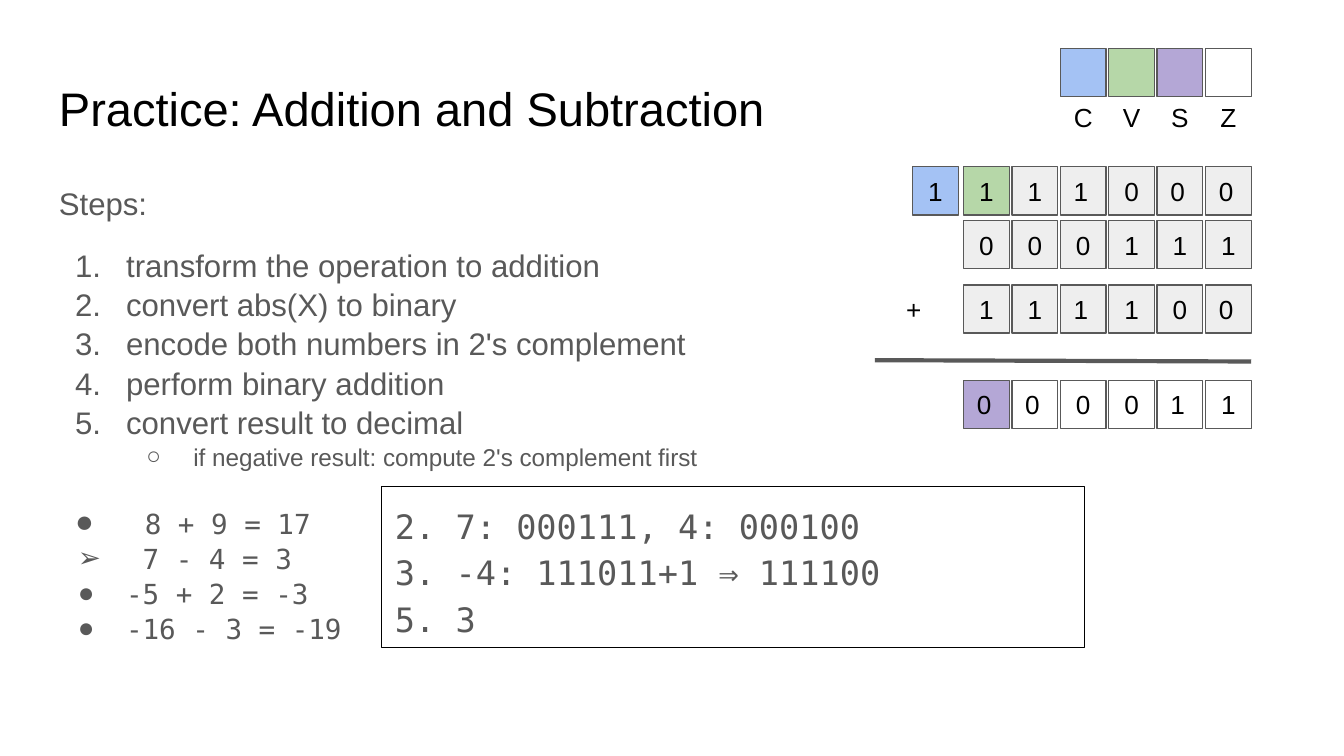
from lxml import etree
from pptx import Presentation
from pptx.dml.color import RGBColor
from pptx.enum.shapes import MSO_CONNECTOR, MSO_SHAPE
from pptx.enum.text import MSO_ANCHOR, PP_ALIGN
from pptx.oxml.ns import qn
from pptx.util import Inches, Pt

RECT, STRAIGHT = MSO_SHAPE.RECTANGLE, MSO_CONNECTOR.STRAIGHT
TOP, MIDDLE = MSO_ANCHOR.TOP, MSO_ANCHOR.MIDDLE
LEFT, CENTER = PP_ALIGN.LEFT, PP_ALIGN.CENTER

THEME = {
    "sans": "Arial", "mono": "DejaVu Sans Mono",
    "title": 25.2, "body": 16.7, "sub": 13, "example": 14.8,
    "cell": 14, "work": 18,
    "black": "000000", "gray": "595959", "white": "FFFFFF", "bit": "EEEEEE",
    "carry": "A4C2F4", "overflow": "B6D7A8", "sign": "B4A7D6",
}

# Content
TITLE = "Practice: Addition and Subtraction"
HEADING = "Steps:"
STEPS = [
    "transform the operation to addition",
    "convert abs(X) to binary",
    "encode both numbers in 2's complement",
    "perform binary addition",
    "convert result to decimal",
]
SUBSTEP = "if negative result: compute 2's complement first"
# bullet, indent, runs as (text, size name)
EXAMPLES = [
    ("●", 0.38, [(" ", "body"), ("8 + 9 = 17", "example")]),
    ("➢", 0.36, [(" 7 - 4 = 3", "example")]),
    ("●", 0.36, [("-5 + 2 = -3", "example")]),
    ("●", 0.36, [("-16 - 3 = -19", "example")]),
]
WORK = ["2. 7: 000111, 4: 000100", "3. -4: 111011+1 ⇒ 111100", "5. 3"]
FLAGS = [("C", "carry"), ("V", "overflow"), ("S", "sign"), ("Z", "white")]
# top, bits, fill, fill of the first bit, left-aligned columns
BIT_ROWS = [
    (1.24, "111000", "bit", "overflow", (2, 4, 5)),
    (1.64, "000111", "bit", "bit", ()),
    (2.12, "111100", "bit", "bit", (2, 5)),
    (2.83, "000011", "white", "sign", (0, 1, 4)),
]

# Grid of bits
GRID_LEFT, STEP, CELL_W, CELL_H = 7.17, 0.36, 0.34, 0.36
FLAG_COLUMN, FLAG_TOP, FLAG_LABEL_TOP = 2, 0.36, 0.69

# 16:9 slide
prs = Presentation()
prs.slide_width = Inches(10)
prs.slide_height = Inches(10 * 9 / 16)
s = prs.slides.add_slide(prs.slide_layouts[6])


def color(name):
    return RGBColor.from_string(THEME[name])


def style(r, size, font="sans", ink="black"):
    r.font.size, r.font.name = Pt(THEME[size]), THEME[font]
    r.font.color.rgb = color(ink)


def frame(sp, anchor=TOP):
    tf = sp.text_frame
    tf.word_wrap, tf.vertical_anchor = True, anchor
    tf.margin_left = tf.margin_right = Inches(0.1)
    tf.margin_top = tf.margin_bottom = Inches(0.1)
    return tf


def add_text(x, y, w, h, anchor=TOP):
    sp = s.shapes.add_textbox(Inches(x), Inches(y), Inches(w), Inches(h))
    return frame(sp, anchor)


def add_box(x, y, w, h, fill=None, line="gray", anchor=MIDDLE):
    sp = s.shapes.add_shape(RECT, Inches(x), Inches(y), Inches(w), Inches(h))
    sp.shadow.inherit = False
    if fill:
        sp.fill.solid()
        sp.fill.fore_color.rgb = color(fill)
    else:
        sp.fill.background()
    if line:
        sp.line.color.rgb, sp.line.width = color(line), Pt(0.75)
    else:
        sp.line.fill.background()
    return frame(sp, anchor)


def write_cell(tf, text, align=CENTER):
    p = tf.paragraphs[0]
    p.text, p.alignment = text, align
    style(p.runs[0], "cell")


def column_x(i):
    return GRID_LEFT + i * STEP


def set_bullet(p, left, hang, char=None):
    """Give a paragraph a bullet character, or a number if none is given."""
    pr = p._p.get_or_add_pPr()
    pr.set("marL", str(Inches(left)))
    pr.set("indent", str(-Inches(hang)))
    clr = etree.SubElement(pr, qn("a:buClr"))
    etree.SubElement(clr, qn("a:srgbClr"), val=THEME["gray"])
    etree.SubElement(pr, qn("a:buFont"), typeface=THEME["sans"])
    if char:
        etree.SubElement(pr, qn("a:buChar"), char=char)
    else:
        etree.SubElement(pr, qn("a:buAutoNum"), type="arabicPeriod")


def add_line(tf, runs, font="sans", before=0):
    p = tf.paragraphs[0] if not tf.text else tf.add_paragraph()
    p.line_spacing, p.space_before = 1.05, Pt(before)
    for text, size in runs:
        r = p.add_run()
        r.text = text
        style(r, size, font, "gray")
    return p


# Title
tf = add_text(0.34, 0.49, 9.32, 0.63)
tf.text = TITLE
style(tf.paragraphs[0].runs[0], "title")

# Steps and examples
tf = add_text(0.34, 1.26, 9.32, 3.74)
add_line(tf, [(HEADING, "body")])
for i, step in enumerate(STEPS):
    p = add_line(tf, [(step, "body")], before=0 if i else 12)
    set_bullet(p, 0.5, 0.38)
p = add_line(tf, [(SUBSTEP, "sub")])
p.level = 1
set_bullet(p, 1, 0.35, "○")
for i, (char, hang, runs) in enumerate(EXAMPLES):
    p = add_line(tf, runs, "mono", before=0 if i else 16)
    set_bullet(p, 0.5, hang, char)

# Status flags
for i, (letter, fill) in enumerate(FLAGS, FLAG_COLUMN):
    add_box(column_x(i), FLAG_TOP, CELL_W, CELL_H, fill)
    write_cell(add_text(column_x(i), FLAG_LABEL_TOP, CELL_W, CELL_H, MIDDLE), letter)

# Binary addition
for top, bits, fill, first_fill, left_columns in BIT_ROWS:
    for i, bit in enumerate(bits):
        tf = add_box(column_x(i), top, CELL_W, CELL_H, fill if i else first_fill)
        write_cell(tf, bit, LEFT if i in left_columns else CENTER)
write_cell(add_box(6.79, 1.24, CELL_W, CELL_H, "carry"), "1")
write_cell(add_box(6.63, 2.12, CELL_W, CELL_H, "white", None), "+")

# Sum line
rule = s.shapes.add_connector(STRAIGHT, Inches(6.51), Inches(2.68), Inches(9.31), Inches(2.69))
rule.line.color.rgb, rule.line.width = color("gray"), Pt(2.25)
etree.SubElement(rule._element.spPr, qn("a:effectLst"))

# Worked solution
tf = add_box(2.84, 3.62, 5.23, 1.2, None, "black", TOP)
p = tf.paragraphs[0]
p.text = "\n".join(WORK)
p.alignment, p.line_spacing, p.space_after = LEFT, 1.15, Pt(12)
for r in p.runs:
    style(r, "work", "mono", "gray")

prs.save("out.pptx")
